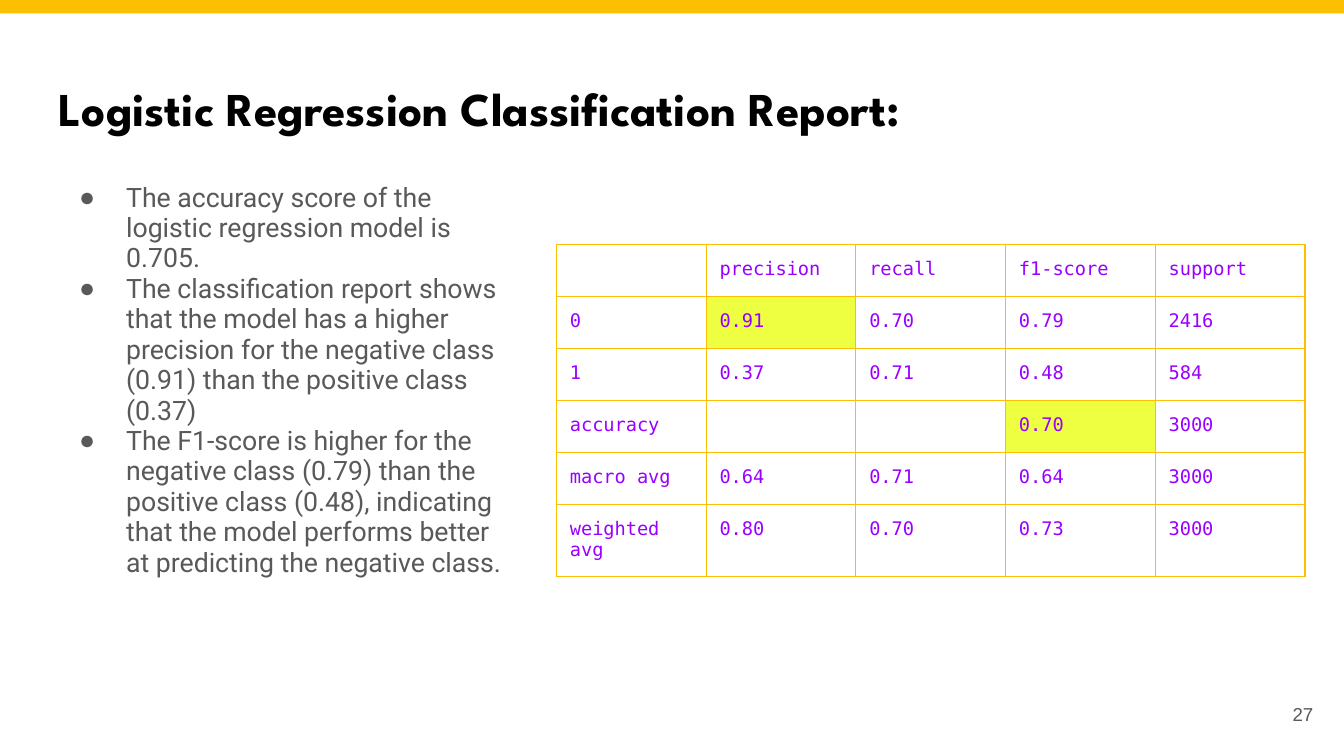
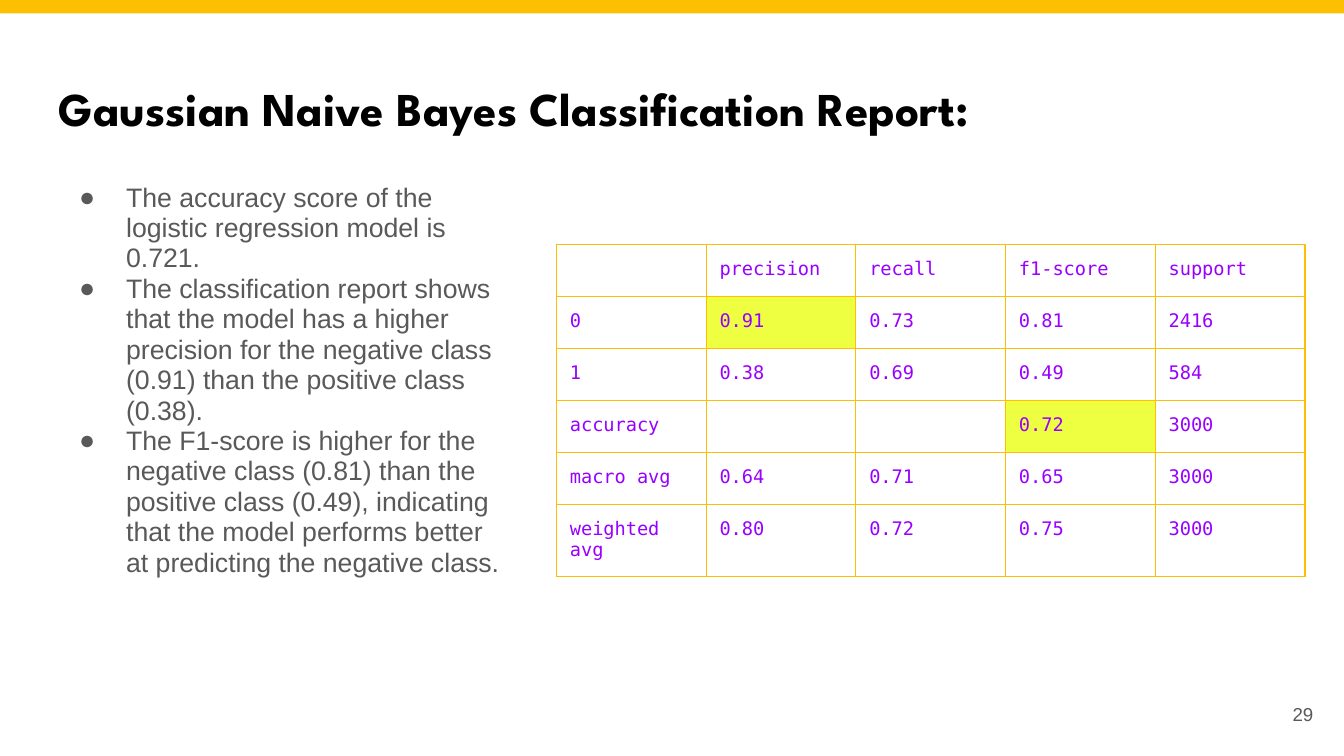
import pptx
import pptx.util
import pptx.dml.color
import pptx.enum.shapes
import pptx.enum.text
import pptx.oxml.ns
import lxml.etree

WIDTH = 10
HEIGHT = WIDTH * 9 / 16
MARGIN = 0.34
INSET = 0.1
GOLD, BLACK, GREY, PURPLE, LIME = "FCBF01", "000000", "595959", "9900FF", "EEFF41"
HEADER = ["", "precision", "recall", "f1-score", "support"]
HIGHLIGHTS = {(1, 1), (3, 3)}
TABLE_WIDTH, TABLE_HEIGHT = 5.57, 2.32

REPORTS = [
    {
        "title": "Logistic Regression Classification Report:",
        "number": "27",
        "font": "Roboto",
        "points": [
            "The accuracy score of the logistic regression model is 0.705.",
            "The classification report shows that the model has a higher precision for the "
            "negative class (0.91) than the positive class (0.37)",
            "The F1-score is higher for the negative class (0.79) than the positive class (0.48), "
            "indicating that the model performs better at predicting the negative class.",
        ],
        "rows": [
            ["0", "0.91", "0.70", "0.79", "2416"],
            ["1", "0.37", "0.71", "0.48", "584"],
            ["accuracy", "", "", "0.70", "3000"],
            ["macro avg", "0.64", "0.71", "0.64", "3000"],
            ["weighted avg", "0.80", "0.70", "0.73", "3000"],
        ],
    },
    {
        "title": "Gaussian Naive Bayes Classification Report:",
        "number": "29",
        "font": "Arial",
        "points": [
            "The accuracy score of the logistic regression model is 0.721.",
            "The classification report shows that the model has a higher precision for the "
            "negative class (0.91) than the positive class (0.38).",
            "The F1-score is higher for the negative class (0.81) than the positive class (0.49), "
            "indicating that the model performs better at predicting the negative class.",
        ],
        "rows": [
            ["0", "0.91", "0.73", "0.81", "2416"],
            ["1", "0.38", "0.69", "0.49", "584"],
            ["accuracy", "", "", "0.72", "3000"],
            ["macro avg", "0.64", "0.71", "0.65", "3000"],
            ["weighted avg", "0.80", "0.72", "0.75", "3000"],
        ],
    },
]


def inches(*lengths):
    return [pptx.util.Inches(length) for length in lengths]


def color(value):
    return pptx.dml.color.RGBColor.from_string(value)


def add_element(parent, tag, **attributes):
    name = pptx.oxml.ns.qn(tag)
    return lxml.etree.SubElement(parent, name, {key: str(value) for key, value in attributes.items()})


def add_run(paragraph, text, size, font, shade, bold=False):
    run = paragraph.add_run()
    run.text = text
    run.font.size = pptx.util.Pt(size)
    run.font.name = font
    run.font.bold = bold
    run.font.color.rgb = color(shade)


def set_insets(target):
    target.margin_left, target.margin_top, target.margin_right, target.margin_bottom = inches(*[INSET] * 4)


def add_text_frame(slide, left, top, width, height):
    frame = slide.shapes.add_textbox(*inches(left, top, width, height)).text_frame
    frame.word_wrap = True
    set_insets(frame)
    return frame


def add_title(slide, title):
    frame = add_text_frame(slide, MARGIN, 0.49, WIDTH - 2 * MARGIN, 0.63)
    add_run(frame.paragraphs[0], title, 25.2, "League Spartan", BLACK, bold=True)


def add_band(slide):
    band = slide.shapes.add_shape(
        pptx.enum.shapes.MSO_SHAPE.RECTANGLE, *inches(0, 0, WIDTH, 0.1)
    )
    band.shadow.inherit = False
    band.fill.solid()
    band.fill.fore_color.rgb = color(GOLD)
    band.line.fill.background()


def add_borders(cell):
    properties = cell._tc.get_or_add_tcPr()
    for side in ("a:lnL", "a:lnR", "a:lnT", "a:lnB"):
        line = add_element(properties, side, w=pptx.util.Pt(0.75))
        add_element(add_element(line, "a:solidFill"), "a:srgbClr", val=GOLD)


def fill_cell(cell, text, highlighted):
    add_borders(cell)
    set_insets(cell)
    if highlighted:
        cell.fill.solid()
        cell.fill.fore_color.rgb = color(LIME)
    else:
        cell.fill.background()
    paragraph = cell.text_frame.paragraphs[0]
    if text:
        add_run(paragraph, text, 10, "DejaVu Sans Mono", PURPLE)
    else:
        add_element(paragraph._p, "a:endParaRPr", sz=1000)


def add_score_table(slide, rows):
    grid = [HEADER] + rows
    table = slide.shapes.add_table(
        len(grid), len(HEADER), *inches(4.14, 1.82, TABLE_WIDTH, TABLE_HEIGHT)
    ).table
    table.first_row = table.horz_banding = False
    for row_index, row in enumerate(grid):
        for column_index, text in enumerate(row):
            position = (row_index, column_index)
            fill_cell(table.cell(*position), text, position in HIGHLIGHTS)


def add_points(slide, report):
    frame = add_text_frame(slide, MARGIN, 1.26, 3.52, 3.74)
    for index, point in enumerate(report["points"]):
        paragraph = frame.add_paragraph() if index else frame.paragraphs[0]
        paragraph.line_spacing = 0.95
        properties = paragraph._p.get_or_add_pPr()
        properties.set("marL", str(pptx.util.Inches(0.5)))
        properties.set("indent", str(pptx.util.Inches(-0.35)))
        add_element(add_element(properties, "a:buClr"), "a:srgbClr", val=GREY)
        add_element(properties, "a:buFont", typeface="Arial")
        add_element(properties, "a:buChar", char="●")
        add_run(paragraph, point, 14.3, report["font"], GREY)


def add_number(slide, number):
    frame = add_text_frame(slide, 9.27, 5.1, 0.6, 0.43)
    frame.vertical_anchor = pptx.enum.text.MSO_ANCHOR.MIDDLE
    paragraph = frame.paragraphs[0]
    paragraph.alignment = pptx.enum.text.PP_ALIGN.RIGHT
    add_run(paragraph, number, 10, "Arial", GREY)


def main():
    presentation = pptx.Presentation()
    presentation.slide_width, presentation.slide_height = inches(WIDTH, HEIGHT)
    for report in REPORTS:
        slide = presentation.slides.add_slide(presentation.slide_layouts[6])
        add_title(slide, report["title"])
        add_band(slide)
        add_score_table(slide, report["rows"])
        add_points(slide, report)
        add_number(slide, report["number"])
    presentation.save("out.pptx")


if __name__ == "__main__":
    main()
